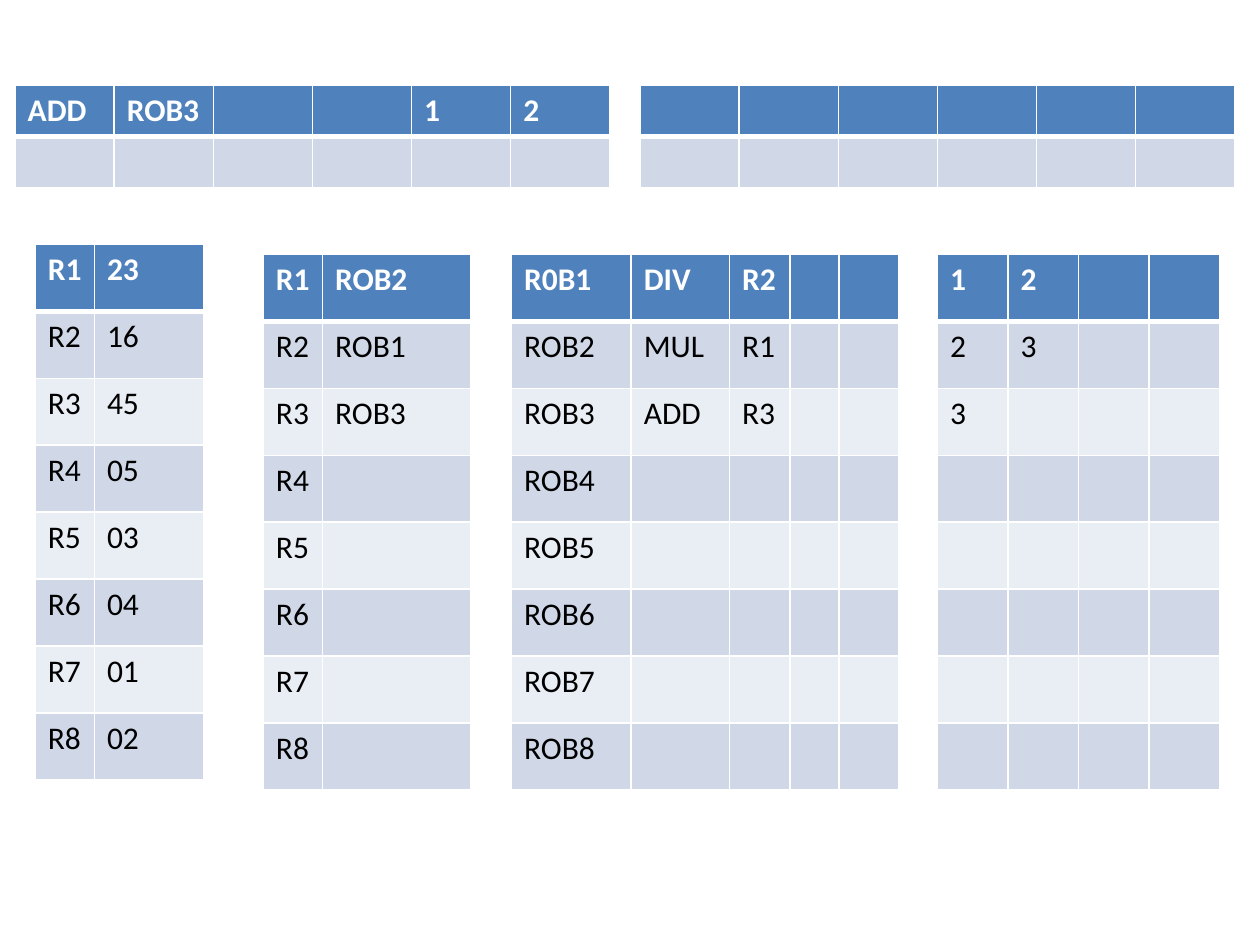
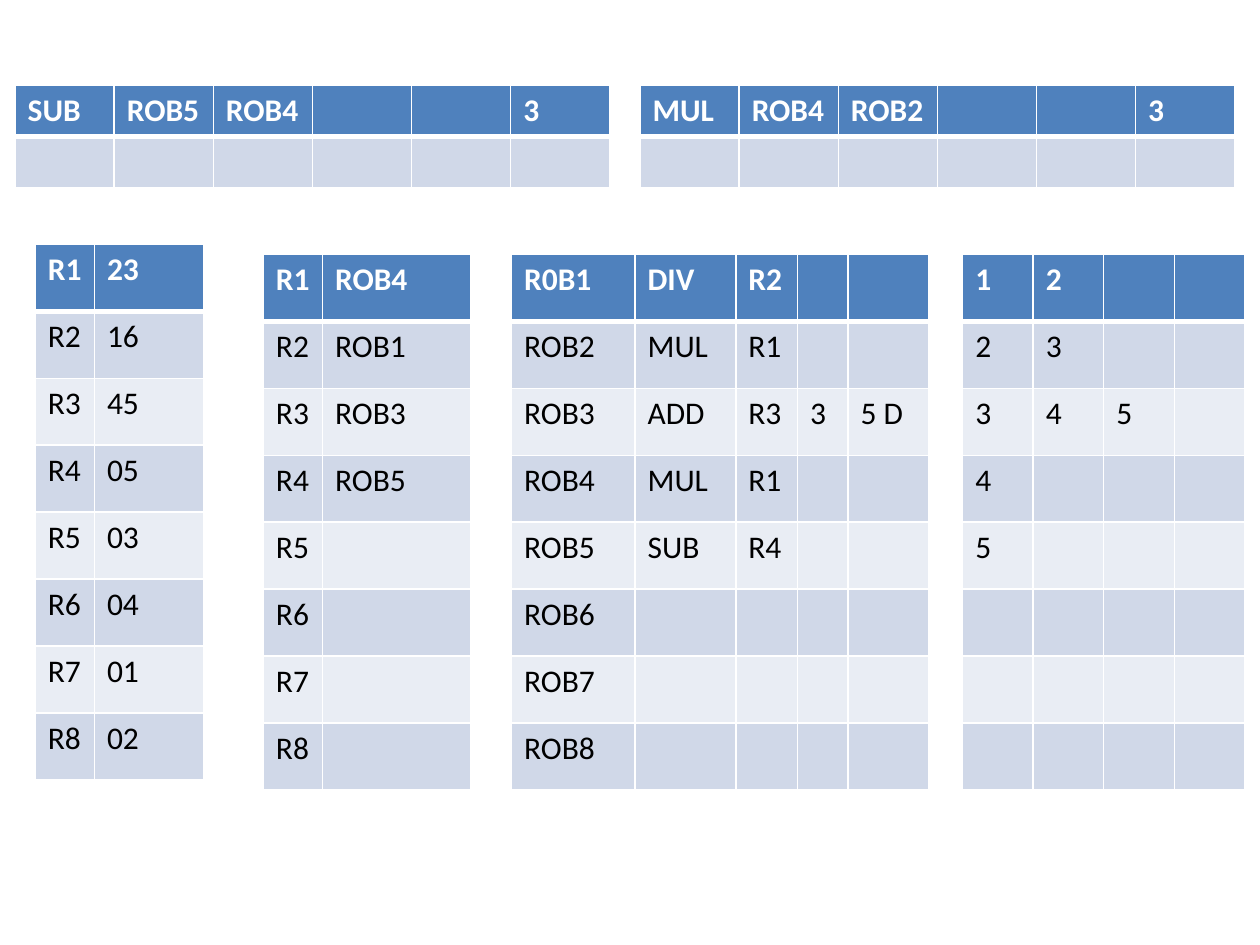
from dataclasses import dataclass

import pptx
import pptx.dml.color
import pptx.oxml
import pptx.oxml.ns
import pptx.presentation
import pptx.slide
import pptx.table
import pptx.util
from pptx.util import Inches

Row = tuple[str, ...]


@dataclass(frozen=True)
class Theme:
    font: str = "Calibri"
    size: int = 18
    header_fill: str = "4F81BD"
    band_fills: tuple[str, str] = ("D0D8E8", "E9EDF4")
    header_text: str = "FFFFFF"
    body_text: str = "000000"
    border: str = "FFFFFF"
    thin: int = 1
    thick: int = 3


@dataclass(frozen=True)
class Grid:
    left: float
    top: float
    height: float
    widths: tuple[float, ...]
    row_count: int
    rows: tuple[Row, ...]


@dataclass(frozen=True)
class MachineState:
    add_station: Row
    multiply_station: Row
    renames: Row
    reorder_entries: tuple[Row, ...]
    reorder_widths: tuple[float, ...]
    links: tuple[Row, ...]
    links_left: float


THEME = Theme()
REGISTER_COUNT = 8
STATION_TOP, STATION_HEIGHT = 0.68, 0.81
BUFFER_TOP, BUFFER_HEIGHT = 2.02, 4.25
STATION_WIDTHS = (4.72 / 6,) * 6
LINK_WIDTHS = (0.56,) * 4
REGISTERS = tuple(f"R{number}" for number in range(1, REGISTER_COUNT + 1))
REORDER_NAMES = ("R0B1",) + tuple(f"ROB{number}" for number in range(2, REGISTER_COUNT + 1))
REGISTER_VALUES = ("23", "16", "45", "05", "03", "04", "01", "02")

STATES = (
    MachineState(
        add_station=("ADD", "ROB3", "", "", "1", "2"),
        multiply_station=(),
        renames=("ROB2", "ROB1", "ROB3"),
        reorder_entries=(("DIV", "R2"), ("MUL", "R1"), ("ADD", "R3")),
        reorder_widths=(0.95, 0.78, 0.48, 0.39, 0.47),
        links=(("1", "2"), ("2", "3"), ("3",)),
        links_left=7.44,
    ),
    MachineState(
        add_station=("SUB", "ROB5", "ROB4", "", "", "3"),
        multiply_station=("MUL", "ROB4", "ROB2", "", "", "3"),
        renames=("ROB4", "ROB1", "ROB3", "ROB5"),
        reorder_entries=(("DIV", "R2"), ("MUL", "R1"), ("ADD", "R3", "3", "5 D"),
                         ("MUL", "R1"), ("SUB", "R4")),
        reorder_widths=(0.98, 0.8, 0.49, 0.4, 0.64),
        links=(("1", "2"), ("2", "3"), ("3", "4", "5"), ("4",), ("5",)),
        links_left=7.64,
    ),
)


def label_rows(names: Row, entries: tuple[Row, ...]) -> tuple[Row, ...]:
    padding = ((),) * (len(names) - len(entries))
    return tuple((name, *entry) for name, entry in zip(names, entries + padding))


def state_grids(state: MachineState) -> tuple[Grid, ...]:
    values = tuple((value,) for value in REGISTER_VALUES)
    renames = tuple((rename,) for rename in state.renames)
    return (
        Grid(0.12, STATION_TOP, STATION_HEIGHT, STATION_WIDTHS, 2, (state.add_station,)),
        Grid(5.08, STATION_TOP, STATION_HEIGHT, STATION_WIDTHS, 2, (state.multiply_station,)),
        Grid(0.28, 1.94, BUFFER_HEIGHT, (0.47, 0.87), REGISTER_COUNT,
             label_rows(REGISTERS, values)),
        Grid(2.09, BUFFER_TOP, BUFFER_HEIGHT, (0.47, 1.18), REGISTER_COUNT,
             label_rows(REGISTERS, renames)),
        Grid(4.06, BUFFER_TOP, BUFFER_HEIGHT, state.reorder_widths, REGISTER_COUNT,
             label_rows(REORDER_NAMES, state.reorder_entries)),
        Grid(state.links_left, BUFFER_TOP, BUFFER_HEIGHT, LINK_WIDTHS, REGISTER_COUNT,
             state.links),
    )


def add_borders(cell: pptx.table._Cell, row_index: int) -> None:
    properties = cell._tc.get_or_add_tcPr()
    weights = {
        "L": THEME.thin,
        "R": THEME.thin,
        "T": THEME.thick if row_index == 1 else THEME.thin,
        "B": THEME.thick if row_index == 0 else THEME.thin,
    }
    for side, weight in weights.items():
        properties.append(pptx.oxml.parse_xml(
            f'<a:ln{side} {pptx.oxml.ns.nsdecls("a")} w="{pptx.util.Pt(weight)}">'
            f'<a:solidFill><a:srgbClr val="{THEME.border}"/></a:solidFill></a:ln{side}>'
        ))


def format_cell(cell: pptx.table._Cell, text: str, row_index: int) -> None:
    is_header = row_index == 0
    fill = THEME.header_fill if is_header else THEME.band_fills[(row_index - 1) % 2]
    color = THEME.header_text if is_header else THEME.body_text
    add_borders(cell, row_index)
    cell.fill.solid()
    cell.fill.fore_color.rgb = pptx.dml.color.RGBColor.from_string(fill)
    cell.text = text
    font = cell.text_frame.paragraphs[0].font
    font.name = THEME.font
    font.size = pptx.util.Pt(THEME.size)
    font.bold = is_header
    font.color.rgb = pptx.dml.color.RGBColor.from_string(color)


def draw_grid(page: pptx.slide.Slide, grid: Grid) -> None:
    table = page.shapes.add_table(
        grid.row_count, len(grid.widths), Inches(grid.left), Inches(grid.top),
        Inches(sum(grid.widths)), Inches(grid.height),
    ).table
    table.horz_banding = False
    for column, width in zip(table.columns, grid.widths):
        column.width = Inches(width)
    for row_index, row in enumerate(table.rows):
        row.height = Inches(grid.height / grid.row_count)
        texts = grid.rows[row_index] if row_index < len(grid.rows) else ()
        for column_index, cell in enumerate(row.cells):
            text = texts[column_index] if column_index < len(texts) else ""
            format_cell(cell, text, row_index)


def add_state_page(deck: pptx.presentation.Presentation, state: MachineState) -> None:
    page = deck.slides.add_slide(deck.slide_layouts.get_by_name("Blank"))
    for grid in state_grids(state):
        draw_grid(page, grid)


def main() -> None:
    deck = pptx.Presentation()
    deck.slide_width = Inches(10)
    deck.slide_height = Inches(7.5)
    for state in STATES:
        add_state_page(deck, state)
    deck.save("out.pptx")


if __name__ == "__main__":
    main()
